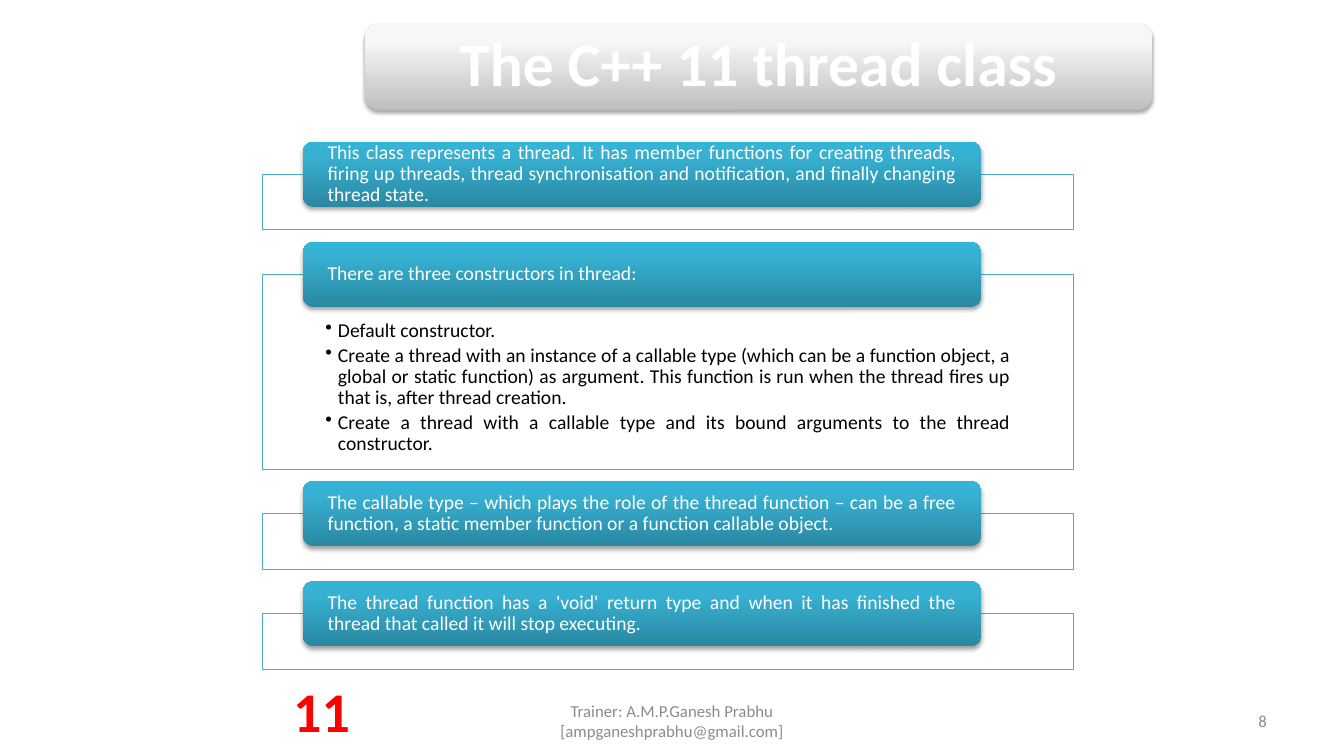
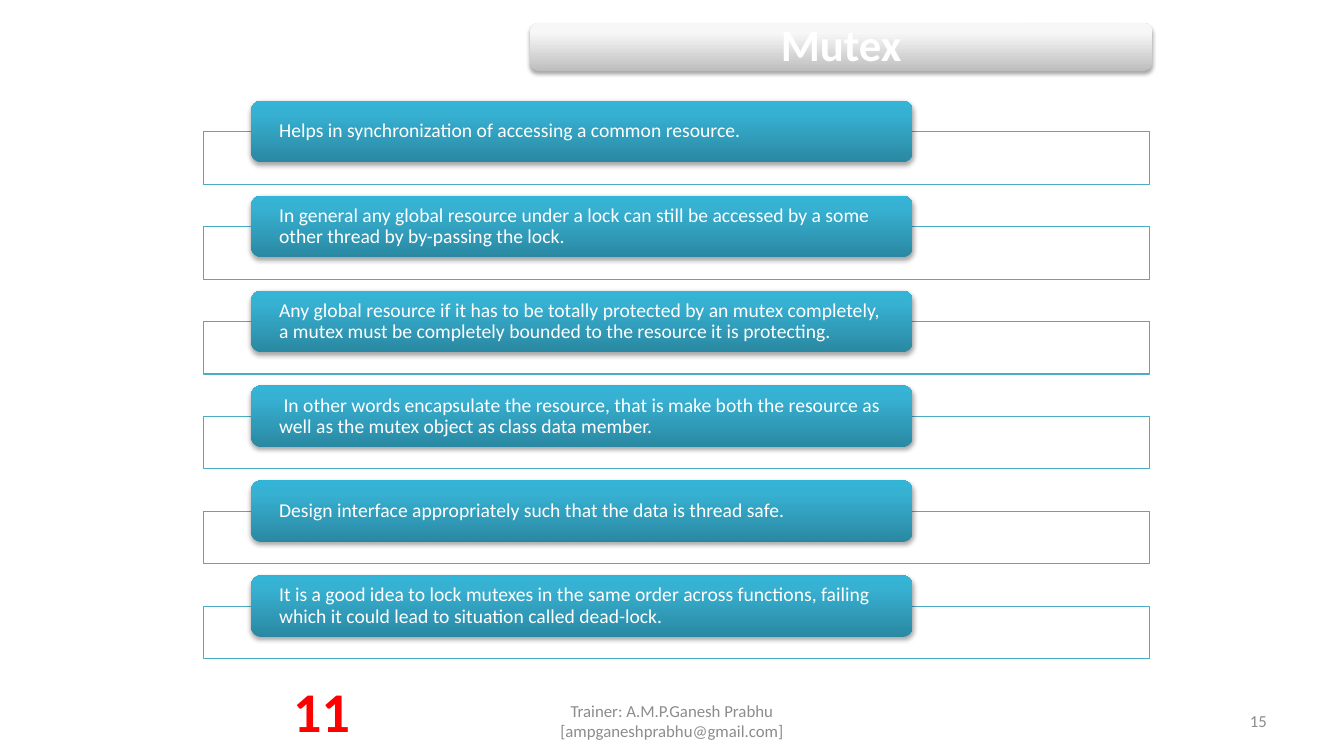
from lxml import etree
from pptx import Presentation
from pptx.dml.color import RGBColor
from pptx.enum import shapes, text
from pptx.oxml.ns import qn
from pptx.util import Pt

FONT = "Calibri"
WHITE, BLACK, RED, GREY = "FFFFFF", "000000", "FF0000", "8C8C8C"
TEAL = "4BACC6"
# Gradient stops run from the bottom edge to the top edge
TEAL_GLOSS = [(0, "2A88A2"), (80, "37B1D2"), (100, "34B4D6")]
SILVER_GLOSS = [(0, "BEBEBE"), (80, "F7F7F7"), (100, "F8F8F8")]
LEFT, CENTER = text.PP_ALIGN.LEFT, text.PP_ALIGN.CENTER
RIGHT, JUSTIFY = text.PP_ALIGN.RIGHT, text.PP_ALIGN.JUSTIFY
TOP, MIDDLE = text.MSO_ANCHOR.TOP, text.MSO_ANCHOR.MIDDLE

TITLE_RIGHT, TITLE_TOP = 823, 16.6
FOOTER_TOP, FOOTER_HEIGHT = 500.4, 28.8
TRAINER = "Trainer: A.M.P.Ganesh Prabhu [ampganeshprabhu@gmail.com]"


def color(code):
    return RGBColor.from_string(code)


def add_xml(parent, tag, **attributes):
    return etree.SubElement(parent, qn(tag), attributes)


def write(shape, lines, size, code, align, anchor=MIDDLE, bold=False,
          insets=(7.2, 3.6, 7.2, 3.6), spacing=1.0, bullet=False):
    """Fill a shape's text frame, one paragraph for each line."""
    frame = shape.text_frame
    frame.word_wrap = True
    frame.vertical_anchor = anchor
    (frame.margin_left, frame.margin_top,
     frame.margin_right, frame.margin_bottom) = map(Pt, insets)
    for index, line in enumerate(lines):
        para = frame.paragraphs[0] if index == 0 else frame.add_paragraph()
        para.text = line
        para.alignment = align
        para.line_spacing = spacing
        if bullet:
            para.space_after = Pt(2.4)
            props = para._p.get_or_add_pPr()
            props.set("marL", str(Pt(9)))
            props.set("indent", str(Pt(-9)))
            add_xml(props, "a:buChar", char="•")
        para.font.name = FONT
        para.font.size = Pt(size)
        para.font.bold = bold
        para.font.color.rgb = color(code)


def add_label(page, line, left, top, width, height, **style):
    box = page.shapes.add_textbox(Pt(left), Pt(top), Pt(width), Pt(height))
    write(box, [line], **style)


def add_glossy(page, stops, left, top, width, height):
    """Rounded bar with a vertical gradient and a soft shadow below."""
    bar = page.shapes.add_shape(shapes.MSO_SHAPE.ROUNDED_RECTANGLE,
                                Pt(left), Pt(top), Pt(width), Pt(height))
    bar.line.fill.background()
    bar.fill.gradient()
    bar.fill.gradient_angle = 90
    stop_list = bar._element.spPr.find(qn("a:gradFill")).find(qn("a:gsLst"))
    for old_stop in list(stop_list):
        stop_list.remove(old_stop)
    for position, code in stops:
        stop = add_xml(stop_list, "a:gs", pos=str(position * 1000))
        add_xml(stop, "a:srgbClr", val=code)
    bar.shadow.inherit = False
    effects = bar._element.spPr.find(qn("a:effectLst"))
    shadow = add_xml(effects, "a:outerShdw", blurRad=str(Pt(3.1)),
                     dist=str(Pt(1.8)), dir="5400000", rotWithShape="0")
    shade = add_xml(shadow, "a:srgbClr", val=BLACK)
    add_xml(shade, "a:alpha", val="35000")
    return bar


def add_title(page, title, width, height, size, inset):
    bar = add_glossy(page, SILVER_GLOSS, TITLE_RIGHT - width, TITLE_TOP,
                     width, height)
    write(bar, [title], size, WHITE, CENTER, bold=True,
          insets=(inset,) * 4, spacing=0.9)


def add_frame(page, bullets, left, top, width, height):
    """Outlined box behind a heading, with optional bullets."""
    frame = page.shapes.add_shape(shapes.MSO_SHAPE.RECTANGLE,
                                  Pt(left), Pt(top), Pt(width), Pt(height))
    frame.shadow.inherit = False
    frame.fill.solid()
    frame.fill.fore_color.rgb = color(WHITE)
    add_xml(frame._element.spPr.find(qn("a:solidFill"))[0], "a:alpha", val="90000")
    frame.line.color.rgb = color(TEAL)
    frame.line.width = Pt(0.75)
    if bullets:
        write(frame, bullets, 14, BLACK, JUSTIFY, TOP,
              insets=(45, 33, 45, 8), spacing=0.9, bullet=True)


def add_list(page, items, left, top, width, pill_width, pill_height,
             frame_height, gap, align):
    """Stack headings; each straddles the top edge of its frame."""
    inset = width * 0.0265
    for heading, bullets, extra_height in items:
        frame_top = top + pill_height / 2
        height = frame_height + extra_height
        add_frame(page, bullets, left, frame_top, width, height)
        pill = add_glossy(page, TEAL_GLOSS, left + width * 0.05, top,
                          pill_width, pill_height)
        write(pill, [heading], 14, WHITE, align,
              insets=(inset, 0, inset, 0), spacing=0.9)
        top = frame_top + height + gap


def add_footer(page, number):
    add_label(page, TRAINER, 328, FOOTER_TOP, 304, FOOTER_HEIGHT,
              size=12, code=GREY, align=CENTER)
    add_label(page, number, 688, FOOTER_TOP, 224, FOOTER_HEIGHT,
              size=12, code=GREY, align=RIGHT)
    add_label(page, "11", 201.6, 479.5, 56.2, 55.4,
              size=40, code=RED, align=CENTER, anchor=TOP, bold=True)


def add_page(deck, number):
    page = deck.slides.add_slide(deck.slide_layouts[6])
    add_footer(page, number)
    return page


def build_thread_page(deck):
    page = add_page(deck, "8")
    add_title(page, "The C++ 11 thread class", 562.3, 62, 44, 13)
    constructors = [
        "Default constructor.",
        "Create a thread with an instance of a callable type (which can be a "
        "function object, a global or static function) as argument. This "
        "function is run when the thread fires up that is, after thread creation.",
        "Create a thread with a callable type and its bound arguments to the "
        "thread constructor.",
    ]
    items = [
        ("This class represents a thread. It has member functions for creating "
         "threads, firing up threads, thread synchronisation and notification, "
         "and finally changing thread state.", [], 0),
        ("There are three constructors in thread:", constructors, 99.3),
        ("The callable type – which plays the role of the thread function – can "
         "be a free function, a static member function or a function callable "
         "object.", [], 0),
        ("The thread function has a 'void' return type and when it has finished "
         "the thread that called it will stop executing.", [], 0),
    ]
    add_list(page, items, left=187.4, top=101.3, width=579.6, pill_width=484.6,
             pill_height=46.5, frame_height=39.7, gap=8.6, align=JUSTIFY)


def build_mutex_page(deck):
    page = add_page(deck, "15")
    headings = [
        "Helps in synchronization of accessing a common resource.",
        "In general any global resource under a lock can still be accessed by a "
        "some other thread by by-passing the lock.",
        "Any global resource if it has to be totally protected by an mutex "
        "completely, a mutex must be completely bounded to the resource it is "
        "protecting.",
        " In other words encapsulate the resource, that is make both the "
        "resource as well as the mutex object as class data member.",
        "Design interface appropriately such that the data is thread safe.",
        "It is a good idea to lock mutexes in the same order across functions, "
        "failing which it could lead to situation called dead-lock.",
    ]
    add_list(page, [(heading, [], 0) for heading in headings],
             left=145.6, top=72, width=675.4, pill_width=472.6,
             pill_height=44, frame_height=37.6, gap=8.2, align=LEFT)
    add_title(page, "Mutex", 444.3, 34, 32, 9.4)


def main():
    deck = Presentation()
    deck.slide_width, deck.slide_height = Pt(960), Pt(540)
    build_thread_page(deck)
    build_mutex_page(deck)
    deck.save("out.pptx")


if __name__ == "__main__":
    main()
